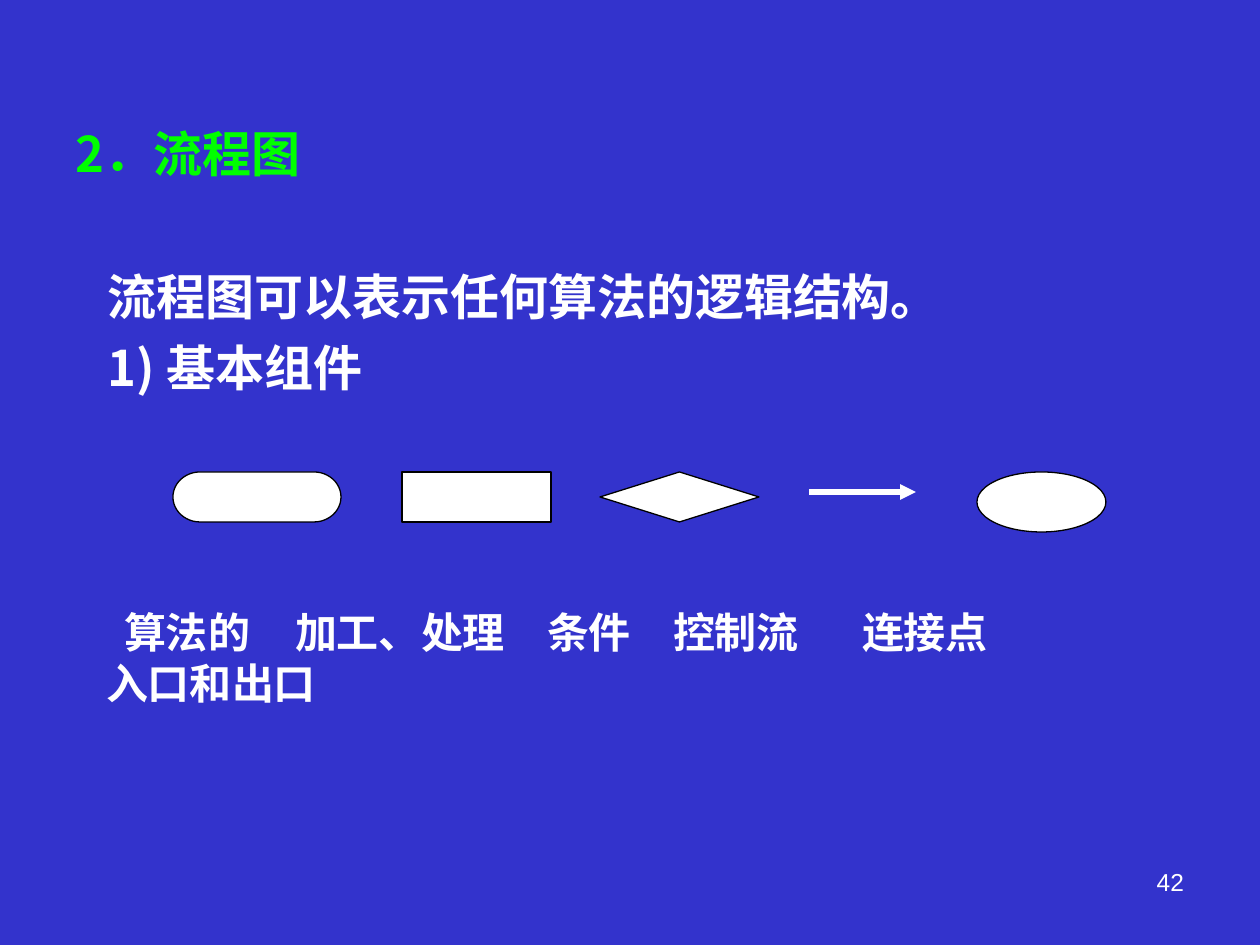
from dataclasses import dataclass

from lxml import etree
from pptx import Presentation, util as u
from pptx.dml.color import RGBColor
from pptx.enum import shapes, text
from pptx.oxml import ns


@dataclass(frozen=True)
class Theme:
    back: str = "3333CC"
    head: str = "00FF00"
    ink: str = "FFFFFF"
    edge: str = "000000"
    cjk: str = "Noto Sans CJK SC"
    latin: str = "Arial"
    large: int = 28
    label: int = 24
    small: int = 14


THEME = Theme()
SCALE = 914400 / 126
LEFT = 106
ROW = 472
KIND = shapes.MSO_SHAPE
PARTS = [
    (KIND.FLOWCHART_TERMINATOR, 173, 168, 50),
    (KIND.FLOWCHART_PROCESS, 402, 149, 50),
    (KIND.FLOWCHART_DECISION, 600, 159, 50),
    (KIND.FLOWCHART_CONNECTOR, 977, 129, 60),
]
LABELS = ["算法的", "加工、处理", "条件", "控制流", "连接点"]
STOPS = [173, 411, 533, 688]


def px(n):
    return u.Emu(round(n * SCALE))


def rgb(code):
    return RGBColor.from_string(code)


def put(item, values):
    for name, value in values.items():
        setattr(item, name, value)


def node(parent, tag, **attrs):
    return etree.SubElement(parent, ns.qn(tag), attrs)


def place(shape, left, top, width, height):
    put(shape, {"left": px(left), "top": px(top),
                "width": px(width), "height": px(height)})


def style(run, face, size, bold, color):
    put(run.font, {"name": face, "size": u.Pt(size), "bold": bold})
    run.font.color.rgb = rgb(color)
    node(run._r.get_or_add_rPr(), "a:ea", typeface=face)


def write(shape, lines, size, color=THEME.ink, face=THEME.cjk, bold=True,
          align=text.PP_ALIGN.LEFT, gap=0, first=0, stops=()):
    """Fill a text shape; first and stops are the first line's indent and tabs."""
    frame = shape.text_frame
    put(frame, {"word_wrap": True, "auto_size": text.MSO_AUTO_SIZE.NONE,
                "vertical_anchor": text.MSO_ANCHOR.TOP,
                "margin_left": 0, "margin_right": 0,
                "margin_top": 0, "margin_bottom": 0})
    for i, line in enumerate(lines):
        para = frame.add_paragraph() if i else frame.paragraphs[0]
        props = para._p.get_or_add_pPr()
        props.set("marL", "0")
        props.set("indent", str(0 if i else px(first)))
        node(props, "a:buNone")
        if stops and not i:
            tabs = node(props, "a:tabLst")
            for stop in stops:
                node(tabs, "a:tab", pos=str(px(stop)), algn="l")
        put(para, {"alignment": align, "space_before": u.Pt(gap if i else 0)})
        run = para.add_run()
        run.text = line
        style(run, face, size, bold, color)


def symbol(group, kind, left, width, height):
    shape = group.shapes.add_shape(kind, px(left), px(ROW), px(width), px(height))
    shape.shadow.inherit = False
    shape.fill.solid()
    shape.fill.fore_color.rgb = rgb(THEME.ink)
    shape.line.color.rgb = rgb(THEME.edge)
    shape.line.width = u.Pt(0.75)


def arrow(group, start, end, top):
    line = group.shapes.add_connector(
        shapes.MSO_CONNECTOR.STRAIGHT, px(start), px(top), px(end), px(top))
    line.line.color.rgb = rgb(THEME.ink)
    line.line.width = u.Pt(3)
    node(line.line._get_or_add_ln(), "a:tailEnd", type="triangle")
    node(line._element.spPr, "a:effectLst")


def box(slide, *area):
    return slide.shapes.add_textbox(*map(px, area))


def main():
    deck = Presentation()
    put(deck, {"slide_width": px(1260), "slide_height": px(945)})
    slide = deck.slides.add_slide(deck.slide_layouts[1])
    slide.background.fill.solid()
    slide.background.fill.fore_color.rgb = rgb(THEME.back)

    title, body = slide.placeholders
    place(title, 76, 123, 1108, 70)
    write(title, ["2．流程图"], THEME.large, THEME.head)
    place(body, 108, 266, 1076, 150)
    write(body, ["流程图可以表示任何算法的逻辑结构。", "1) 基本组件"],
          THEME.large, gap=7)

    group = slide.shapes.add_group_shape()
    for part in PARTS:
        symbol(group, *part)
    arrow(group, 809, 916, 492)

    write(box(slide, LEFT, 607, 1087, 102), ["\t".join(LABELS), "入口和出口"],
          THEME.label, first=18, stops=STOPS)
    write(box(slide, 903, 867, 281, 50), ["42"], THEME.small,
          face=THEME.latin, bold=False, align=text.PP_ALIGN.RIGHT)
    deck.save("out.pptx")


if __name__ == "__main__":
    main()
